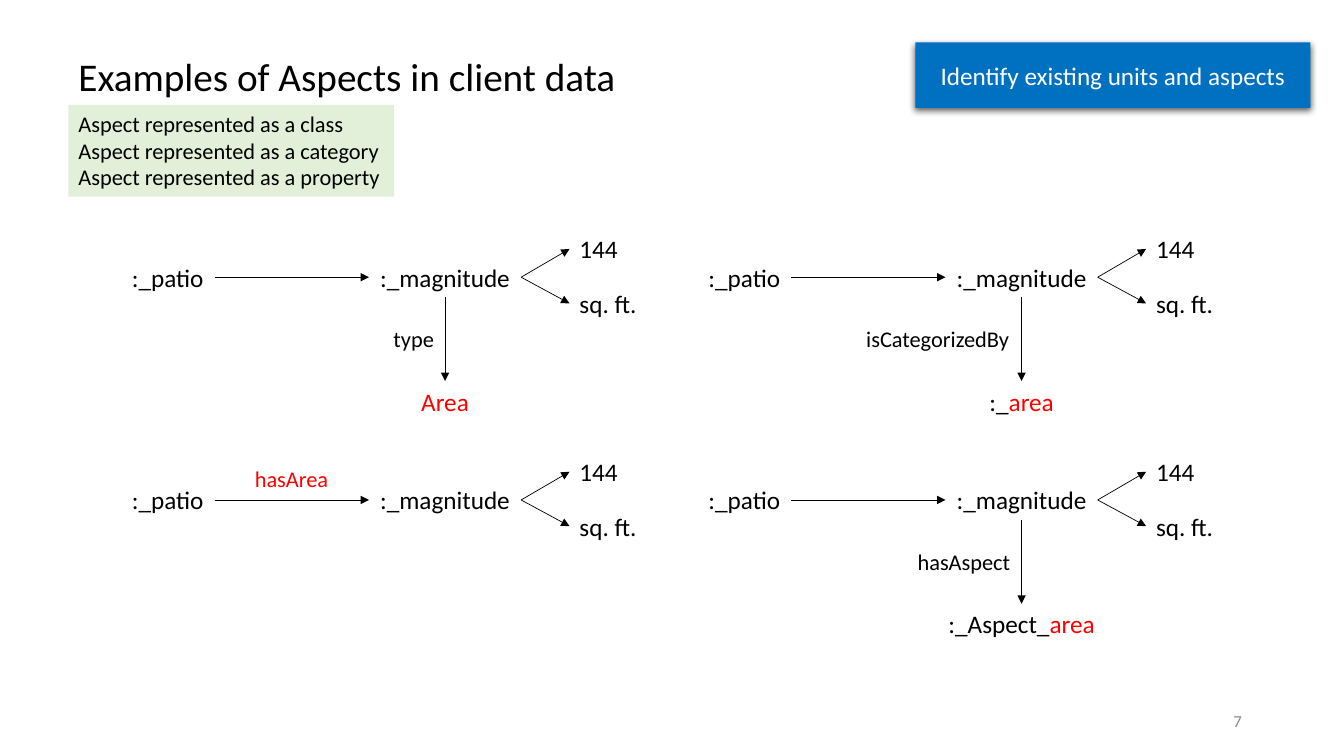
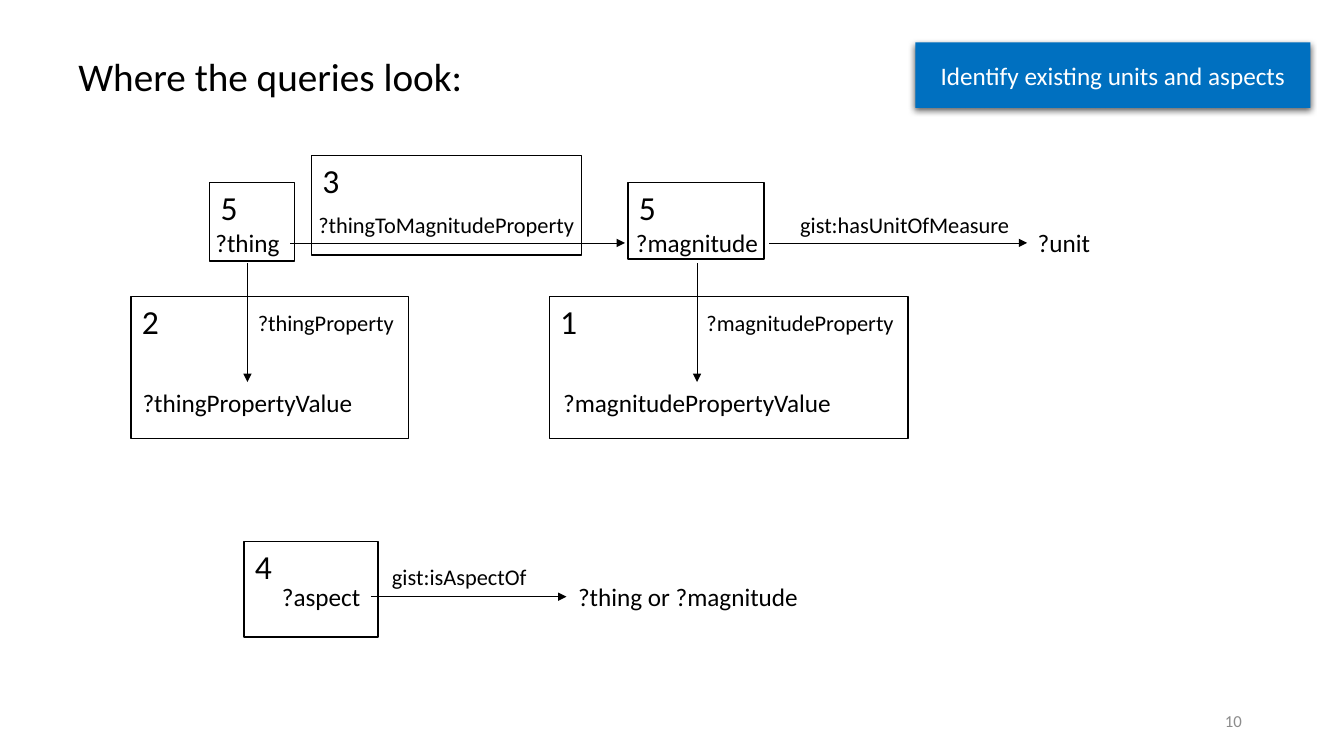
from lxml import etree
from pptx import Presentation
from pptx import util as u
from pptx.dml.color import RGBColor
from pptx.enum import shapes, text
from pptx.oxml.ns import qn

PX = 9144  # 100 px to the inch
FONT = "Calibri"
BLACK = RGBColor(0x00, 0x00, 0x00)
WHITE = RGBColor(0xFF, 0xFF, 0xFF)
RED = RGBColor(0xFF, 0x00, 0x00)
GREY = RGBColor(0x8C, 0x8C, 0x8C)
BLUE = RGBColor(0x00, 0x70, 0xC0)
PALE_GREEN = RGBColor(0xE2, 0xF0, 0xD9)
LEFT, CENTER, RIGHT = text.PP_ALIGN.LEFT, text.PP_ALIGN.CENTER, text.PP_ALIGN.RIGHT
TOP, MIDDLE = text.MSO_ANCHOR.TOP, text.MSO_ANCHOR.MIDDLE
ABOVE, WEST, BELOW, EAST = range(4)  # connection sites of a rectangle


def write(slide, words, box, size=18, color=BLACK, red="", align=LEFT,
          anchor=TOP, fixed=False, fill=None):
    """Add text, one paragraph a line; red is a last run in red."""
    place = [round(n * PX) for n in box]
    if fill is None:
        shape = slide.shapes.add_textbox(*place)
    else:
        shape = slide.shapes.add_shape(shapes.MSO_SHAPE.RECTANGLE, *place)
        shape.shadow.inherit = False
        shape.fill.solid()
        shape.fill.fore_color.rgb = fill
        shape.line.fill.background()
    frame = shape.text_frame
    frame.word_wrap = fixed
    frame.auto_size = text.MSO_AUTO_SIZE.NONE if fixed else text.MSO_AUTO_SIZE.SHAPE_TO_FIT_TEXT
    frame.vertical_anchor = anchor
    for i, line in enumerate(words.split("\n")):
        paragraph = frame.add_paragraph() if i else frame.paragraphs[0]
        paragraph.alignment = align
        for part, ink in ((line, color), (red, RED)):
            if part:
                run = paragraph.add_run()
                run.text = part
                run.font.name, run.font.size = FONT, u.Pt(size)
                run.font.color.rgb = ink
    return shape


def link(slide, start, start_site, end, end_site):
    """Draw an arrow between two joined text boxes."""
    arrow = slide.shapes.add_connector(shapes.MSO_CONNECTOR.STRAIGHT, 0, 0, 0, 0)
    arrow.begin_connect(start, start_site)
    arrow.end_connect(end, end_site)
    arrow.line.color.rgb = BLACK
    arrow.line.width = u.Pt(0.5)
    etree.SubElement(arrow.line._get_or_add_ln(), qn("a:tailEnd"), type="triangle")
    etree.SubElement(arrow._element.spPr, qn("a:effectLst"))


deck = Presentation()
deck.slide_width, deck.slide_height = u.Inches(13.333), u.Inches(7.5)

# Shared title, page number and banner
pages = []
for title, title_width, number in (("Examples of Aspects in client data", 559, "7"),
                                   ("Where the queries look:", 414, "10")):
    page = deck.slides.add_slide(deck.slide_layouts[6])
    write(page, title, (68, 47, title_width, 57), size=28)
    write(page, number, (942, 695, 300, 40), size=12, color=GREY, align=RIGHT,
          anchor=MIDDLE, fixed=True)
    banner = write(page, "Identify existing units and aspects", (908, 42, 392, 65),
                   color=WHITE, align=CENTER, anchor=MIDDLE, fixed=True, fill=BLUE)
    effects = banner._element.spPr.find(qn("a:effectLst"))
    shadow = etree.SubElement(effects, qn("a:outerShdw"), blurRad="57150", dist="19050",
                              dir="5400000", algn="ctr", rotWithShape="0")
    shade = etree.SubElement(shadow, qn("a:srgbClr"), val=str(BLACK))
    etree.SubElement(shade, qn("a:alpha"), val="63000")
    pages.append(page)
examples, queries = pages

# Examples: ways to represent an aspect
write(examples, "Aspect represented as a class\nAspect represented as a category\n"
      "Aspect represented as a property", (68, 104, 323, 91), size=16, fill=PALE_GREEN)

# Examples: column, row, relation and its width, aspect as black and red text and its width
aspects = (
    (0, 0, "type", 61, "", "Area", 68),
    (1, 0, "isCategorizedBy", 164, ":_", "area", 85),
    (0, 1, "", 0, "", "", 0),
    (1, 1, "hasAspect", 113, ":_Aspect_", "area", 167),
)
for column, row, relation, relation_width, prefix, aspect, aspect_width in aspects:
    x, y = 121 + 572 * column, 255 + 221 * row
    middle = x + 320.5
    patio = write(examples, ":_patio", (x, y, 92, 40))
    magnitude = write(examples, ":_magnitude", (x + 245, y, 151, 40), align=CENTER)
    amount = write(examples, "144", (x + 444, y - 28, 59, 40))
    unit = write(examples, "sq. ft.", (x + 444, y + 26, 78, 40))
    link(examples, patio, EAST, magnitude, WEST)
    link(examples, magnitude, EAST, amount, WEST)
    link(examples, magnitude, EAST, unit, WEST)
    if relation:
        value = write(examples, prefix, (middle - aspect_width / 2, y + 123, aspect_width, 40),
                      red=aspect, align=CENTER)
        link(examples, magnitude, BELOW, value, ABOVE)
        write(examples, relation, (middle - relation_width, y + 63, relation_width, 37), size=16)
    else:
        write(examples, "hasArea", (x + 122, y - 19, 94, 37), size=16, color=RED)

# Queries: nodes
nodes = {}
for name, x, y, width in (
    ("?thing", 203, 221, 85),
    ("?magnitude", 620, 221, 143),
    ("?unit", 1019, 221, 73),
    ("?thingPropertyValue", 130, 379, 231),
    ("?magnitudePropertyValue", 547, 379, 289),
    ("?aspect", 269, 572, 99),
    ("?thing or ?magnitude", 562, 572, 241),
):
    nodes[name] = write(queries, name, (x, y, width, 40), align=CENTER)

# Queries: arrows with their properties
for start, end, sites, label, x, y, width in (
    ("?thing", "?magnitude", (EAST, WEST), "?thingToMagnitudeProperty", 306, 205, 277),
    ("?magnitude", "?unit", (EAST, WEST), "gist:hasUnitOfMeasure", 784, 205, 230),
    ("?thing", "?thingPropertyValue", (BELOW, ABOVE), "?thingProperty", 246, 302, 157),
    ("?magnitude", "?magnitudePropertyValue", (BELOW, ABOVE), "?magnitudeProperty", 691, 302, 208),
    ("?aspect", "?thing or ?magnitude", (EAST, WEST), "gist:isAspectOf", 379, 554, 155),
):
    link(queries, nodes[start], sites[0], nodes[end], sites[1])
    write(queries, label, (x, y, width, 37), size=16)

# Queries: numbered frames
for number, x, y, width, height in (
    ("1", 545, 294, 356, 141),
    ("2", 130, 294, 275, 141),
    ("3", 309, 154, 268, 99),
    ("4", 242, 537, 133, 95),
    ("5", 208, 181, 84, 78),
    ("5", 623, 181, 135, 76),
):
    write(queries, number, (x + 1, y, 37, 50), size=24)
    frame = queries.shapes.add_shape(shapes.MSO_SHAPE.RECTANGLE,
                                     *(n * PX for n in (x, y, width, height)))
    frame.shadow.inherit = False
    frame.fill.background()
    frame.line.color.rgb = BLACK
    frame.line.width = u.Pt(1)

deck.save("out.pptx")
